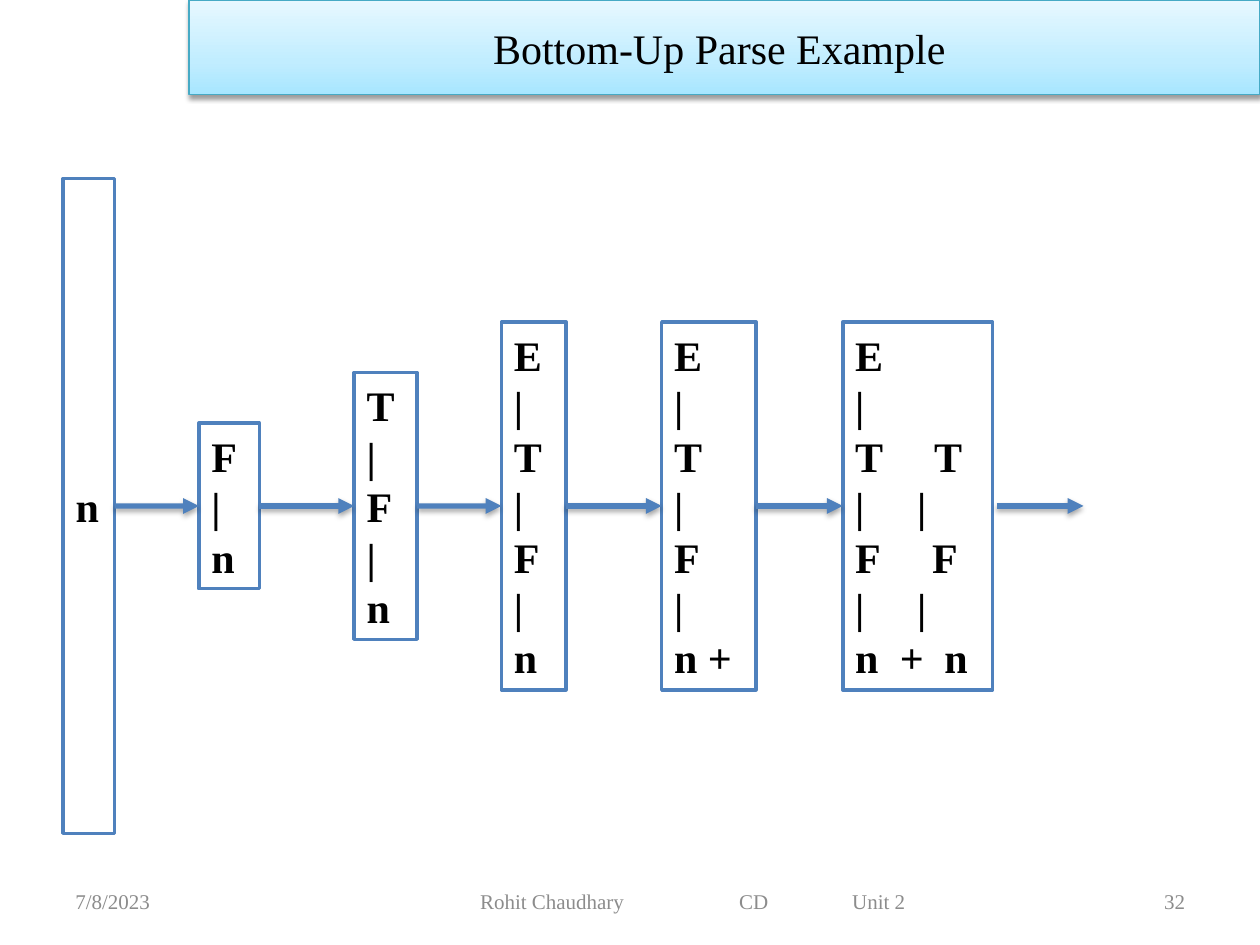
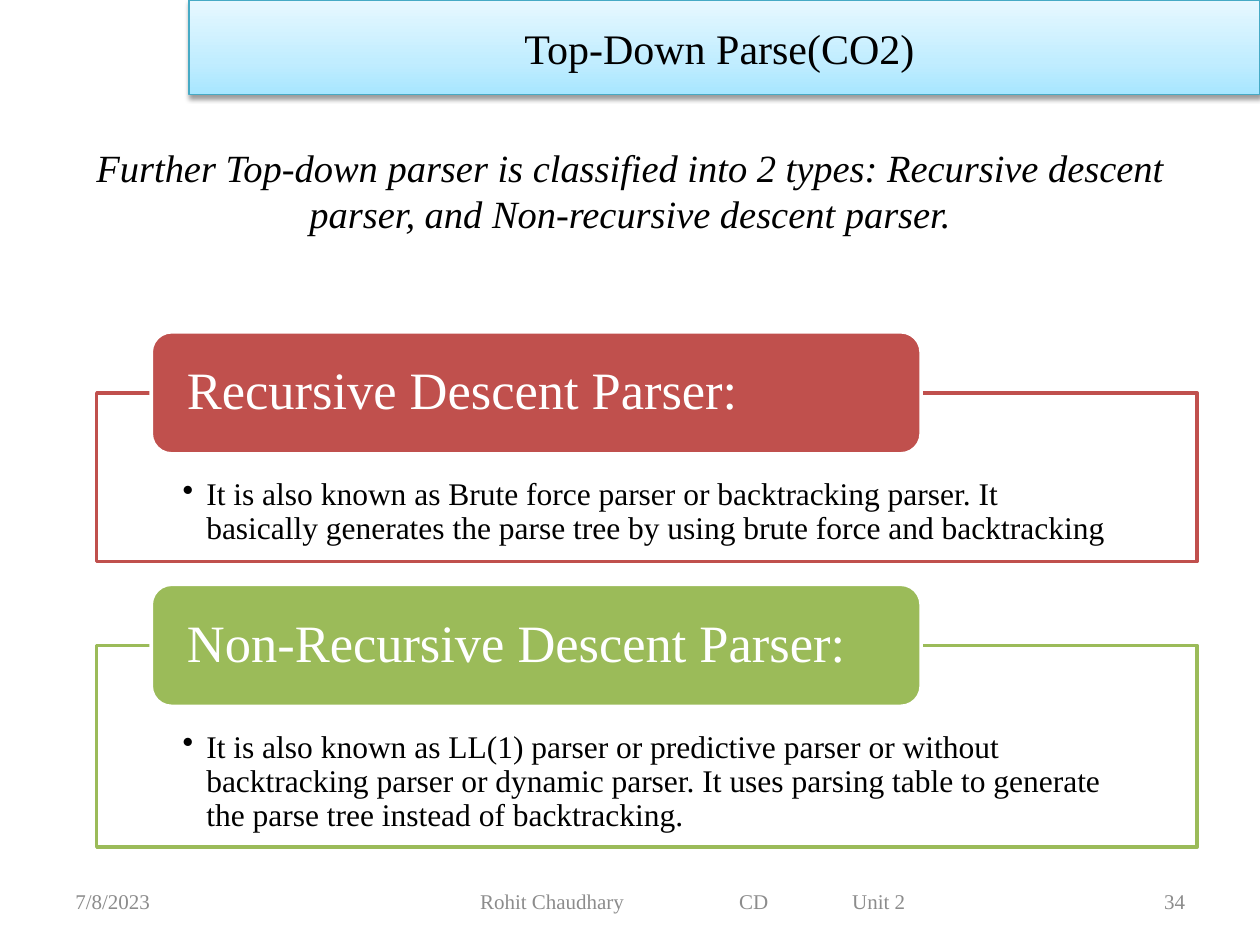
from copy import deepcopy

from lxml import etree
from pptx import Presentation
from pptx.dml.color import RGBColor
from pptx.enum.shapes import MSO_CONNECTOR, MSO_SHAPE
from pptx.enum.text import MSO_ANCHOR, MSO_AUTO_SIZE, PP_ALIGN
from pptx.oxml.ns import qn
from pptx.util import Cm, Pt

LEFT, CENTER, RIGHT = PP_ALIGN.LEFT, PP_ALIGN.CENTER, PP_ALIGN.RIGHT
TOP, MIDDLE = MSO_ANCHOR.TOP, MSO_ANCHOR.MIDDLE
RECTANGLE, ROUNDED = MSO_SHAPE.RECTANGLE, MSO_SHAPE.ROUNDED_RECTANGLE
STRAIGHT = MSO_CONNECTOR.STRAIGHT
LEFT_SIDE, RIGHT_SIDE = 1, 3

THEME = {
    "font": "Times New Roman",
    "black": RGBColor.from_string("000000"),
    "white": RGBColor.from_string("FFFFFF"),
    "grey": RGBColor.from_string("8C8C8C"),
    "blue": RGBColor.from_string("4F81BD"),
    "red": RGBColor.from_string("C0504D"),
    "green": RGBColor.from_string("9BBB59"),
    "band_line": RGBColor.from_string("46AAC5"),
    "band_stops": [(0, "A7E6FF"), (0.35, "C1EDFF"), (1, "E7F8FF")],
    "title": 24,
    "tree": 24,
    "intro": 22,
    "heading": 30,
    "bullet": 18,
    "footer": 12,
}

# Tab stops in cm for each line that has columns
FOOTER = "Rohit Chaudhary\tCD\tUnit 2"
TAB_STOPS = {
    FOOTER: (5.22, 7.5),
    "T\tT": (1.59,),
    "|\t|": (1.25,),
    "F\tF": (1.55,),
    "n\t+\tn": (0.9, 1.8),
}


def write_text(shape, lines, size, color, align=LEFT, spacing=1.0, bullet=False,
               frame_format=None, **font_format):
    frame = shape.text_frame
    settings = {"word_wrap": True, "auto_size": MSO_AUTO_SIZE.NONE,
                "vertical_anchor": MIDDLE, **(frame_format or {})}
    for name, value in settings.items():
        setattr(frame, name, value)
    for index, line in enumerate(lines):
        paragraph = frame.add_paragraph() if index else frame.paragraphs[0]
        properties = paragraph._p.get_or_add_pPr()
        if line in TAB_STOPS:
            # An explicit indent would reset the tab stops
            tab_list = etree.SubElement(properties, qn("a:tabLst"))
            for stop in TAB_STOPS[line]:
                etree.SubElement(tab_list, qn("a:tab"), pos=str(Cm(stop)), algn="l")
        else:
            indent = Cm(0.48) if bullet else 0
            properties.set("marL", str(indent))
            properties.set("indent", str(-indent))
            if bullet:
                etree.SubElement(properties, qn("a:buChar"), char="•")
            else:
                etree.SubElement(properties, qn("a:buNone"))
        paragraph.alignment = align
        paragraph.space_before = Pt(0)
        paragraph.line_spacing = spacing
        run = paragraph.add_run()
        run.text = line
        run.font.color.rgb = color
        for name, value in {"name": THEME["font"], "size": Pt(size), **font_format}.items():
            setattr(run.font, name, value)


def add_shadow(shape, opacity):
    effects = etree.SubElement(shape._element.spPr, qn("a:effectLst"))
    shadow = etree.SubElement(effects, qn("a:outerShdw"), blurRad=str(Pt(3.1)),
                              dist=str(Pt(1.7)), dir="5400000", rotWithShape="0")
    shade = etree.SubElement(shadow, qn("a:srgbClr"), val="000000")
    etree.SubElement(shade, qn("a:alpha"), val=str(opacity * 1000))


presentation = Presentation()
presentation.slide_width, presentation.slide_height = Cm(25.4), Cm(19.05)

# Title band and footers shared by the slides
slides = []
for title_text, number in [("Bottom-Up Parse Example", "32"), ("Top-Down Parse(CO2)", "34")]:
    slide = presentation.slides.add_slide(presentation.slide_layouts[1])
    slides.append(slide)
    title = slide.shapes.title
    title.left, title.top, title.width, title.height = Cm(3.81), 0, Cm(21.59), Cm(1.91)
    title.fill.gradient()
    title.fill.gradient_angle = 90
    stop_list = title._element.spPr.find(".//" + qn("a:gsLst"))
    stop_list.insert(1, deepcopy(stop_list[0]))
    for stop, (position, color) in zip(title.fill.gradient_stops, THEME["band_stops"]):
        stop.position = position
        stop.color.rgb = RGBColor.from_string(color)
    title.line.color.rgb = THEME["band_line"]
    title.line.width = Pt(0.75)
    add_shadow(title, 38)
    write_text(title, [title_text], THEME["title"], THEME["black"], CENTER,
               frame_format={"margin_right": Cm(0.46)})

    for text, left, width, align in [("7/8/2023", 1.27, 5.93, LEFT),
                                     (FOOTER, 9.43, 11.5, LEFT),
                                     (number, 18.21, 5.93, RIGHT)]:
        footer = slide.shapes.add_textbox(Cm(left), Cm(17.65), Cm(width), Cm(1.02))
        write_text(footer, [text], THEME["footer"], THEME["grey"], align)

parse_slide, types_slide = slides

# Bottom-up parse: one box per step, all centred on one axis
AXIS = 10.2
STEPS = [
    (1.27, 1.04, ["n"]),
    (4.01, 1.22, ["F", "|", "n"]),
    (7.14, 1.27, ["T", "|", "F", "|", "n"]),
    (10.11, 1.3, ["E", "|", "T", "|", "F", "|", "n"]),
    (13.34, 1.9, ["E", "|", "T", "|", "F", "|", "n +"]),
    (16.99, 3.02, ["E", "|", "T\tT", "|\t|", "F\tF", "|\t|", "n\t+\tn"]),
]
boxes = []
for left, width, lines in STEPS:
    if boxes:
        height = 0.28 + 1.02 * len(lines)
        box = parse_slide.shapes.add_shape(RECTANGLE, 0, 0, 0, 0)
        box.shadow.inherit = False
    else:
        height = 13.2
        box = parse_slide.placeholders[1]
    box.left, box.top = Cm(left), Cm(AXIS - height / 2)
    box.width, box.height = Cm(width), Cm(height)
    box.fill.solid()
    box.fill.fore_color.rgb = THEME["white"]
    box.line.color.rgb = THEME["blue"]
    box.line.width = Pt(2)
    write_text(box, lines, THEME["tree"], THEME["black"], bold=True)
    boxes.append(box)

# Arrows from step to step, the last one leading onward
for index, box in enumerate(boxes):
    arrow = parse_slide.shapes.add_connector(STRAIGHT, Cm(20.09), Cm(AXIS), Cm(21.84), Cm(AXIS))
    if index + 1 < len(boxes):
        arrow.begin_connect(box, RIGHT_SIDE)
        arrow.end_connect(boxes[index + 1], LEFT_SIDE)
    arrow.line.color.rgb = THEME["blue"]
    arrow.line.width = Pt(3)
    etree.SubElement(arrow._element.spPr.find(qn("a:ln")), qn("a:tailEnd"), type="triangle")
    add_shadow(arrow, 35)

# Introduction to the parser types
intro = types_slide.placeholders[1]
intro.left, intro.top, intro.width, intro.height = Cm(1.27), Cm(2.77), Cm(22.86), Cm(14.4)
write_text(intro, ["Further Top-down parser is classified into 2 types: Recursive descent "
                   "parser, and Non-recursive descent parser."],
           THEME["intro"], THEME["black"], CENTER,
           frame_format={"vertical_anchor": TOP}, italic=True)

# Parser types: a framed description with a heading over its top edge
PARSER_TYPES = [
    ("Recursive Descent Parser:", 7.92, 3.4, THEME["red"],
     "It is also known as Brute force parser or backtracking parser. It basically "
     "generates the parse tree by using brute force and backtracking"),
    ("Non-Recursive Descent Parser:", 13.01, 4.07, THEME["green"],
     "It is also known as LL(1) parser or predictive parser or without backtracking "
     "parser or dynamic parser. It uses parsing table to generate the parse tree "
     "instead of backtracking."),
]
for heading_text, top, height, color, description in PARSER_TYPES:
    panel = types_slide.shapes.add_shape(RECTANGLE, Cm(1.95), Cm(top), Cm(22.18), Cm(height))
    heading = types_slide.shapes.add_shape(ROUNDED, Cm(3.05), Cm(top - 1.23), Cm(15.52), Cm(2.46))
    for shape, fill, line in [(panel, THEME["white"], color), (heading, color, THEME["white"])]:
        shape.shadow.inherit = False
        shape.fill.solid()
        shape.fill.fore_color.rgb = fill
        shape.line.color.rgb = line
        shape.line.width = Pt(2)
    write_text(panel, [description], THEME["bullet"], THEME["black"], spacing=0.9, bullet=True,
               frame_format={"vertical_anchor": TOP, "margin_left": Cm(1.73),
                             "margin_top": Cm(1.73), "margin_right": Cm(1.73),
                             "margin_bottom": Cm(0.36)})
    write_text(heading, [heading_text], THEME["heading"], THEME["white"], spacing=0.9,
               frame_format={"margin_left": Cm(0.6), "margin_top": 0,
                             "margin_right": Cm(0.6), "margin_bottom": 0})

presentation.save("out.pptx")
